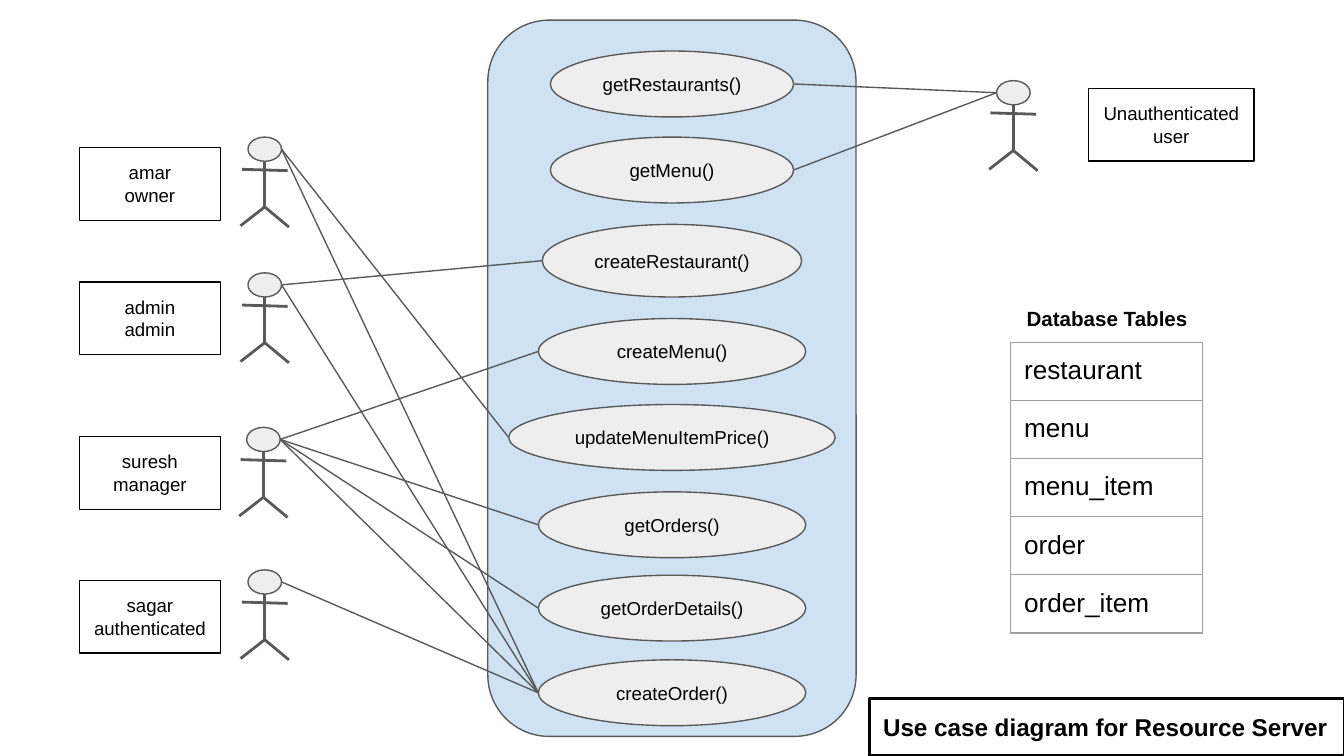
from dataclasses import dataclass

from lxml.etree import SubElement
from pptx import Presentation
from pptx.dml.color import RGBColor
from pptx.enum.shapes import MSO_CONNECTOR, MSO_SHAPE
from pptx.enum.text import MSO_ANCHOR, MSO_AUTO_SIZE, PP_ALIGN
from pptx.oxml.ns import qn
from pptx.util import Inches, Pt

COLORS = {
    "system": "CFE2F3",
    "oval": "EEEEEE",
    "outline": "595959",
    "text": "000000",
    "grid": "9E9E9E",
}
MARGINS = {f"margin_{side}": Inches(0.1) for side in ("left", "right", "top", "bottom")}
FRAME_FORMAT = MARGINS | {"word_wrap": True, "auto_size": MSO_AUTO_SIZE.NONE}
SYSTEM_CENTER = 5.0
HEAD_WIDTH, HEAD_HEIGHT = 0.25, 0.18
LABEL_HEIGHT = 0.54


@dataclass(frozen=True)
class UseCase:
    name: str
    top: float
    width: float = 1.99
    height: float = 0.49

    @property
    def left(self) -> float:
        return SYSTEM_CENTER - self.width / 2

    @property
    def middle(self) -> float:
        return self.top + self.height / 2


@dataclass(frozen=True)
class Actor:
    label: str
    center: float
    top: float
    label_left: float
    label_top: float
    label_width: float
    use_cases: tuple[str, ...]


USE_CASES = [
    UseCase("getRestaurants()", 0.38, 1.81),
    UseCase("getMenu()", 1.02, 1.81),
    UseCase("createRestaurant()", 1.67, 1.93, 0.54),
    UseCase("createMenu()", 2.37),
    UseCase("updateMenuItemPrice()", 3.01, 2.43),
    UseCase("getOrders()", 3.66),
    UseCase("getOrderDetails()", 4.28),
    UseCase("createOrder()", 4.91),
]
ACTORS = [
    Actor("amar\nowner", 1.97, 1.02, 0.59, 1.1, 1.05,
          ("updateMenuItemPrice()", "createOrder()")),
    Actor("admin\nadmin", 1.97, 2.03, 0.59, 2.1, 1.05,
          ("createRestaurant()", "createOrder()")),
    Actor("suresh\nmanager", 1.96, 3.18, 0.59, 3.25, 1.05,
          ("createMenu()", "getOrders()", "getOrderDetails()", "createOrder()")),
    Actor("sagar\nauthenticated", 1.97, 4.24, 0.59, 4.32, 1.05, ("createOrder()",)),
    Actor("Unauthenticated user", 7.54, 0.6, 8.1, 0.66, 1.23,
          ("getRestaurants()", "getMenu()")),
]
TABLE_NAMES = ["restaurant", "menu", "menu_item", "order", "order_item"]


def color(name: str) -> RGBColor:
    return RGBColor.from_string(COLORS[name])


def apply_format(target, values: dict) -> None:
    for name, value in values.items():
        setattr(target, name, value)


def write_text(frame, text: str, size: float, bold: bool = False,
               align=PP_ALIGN.CENTER) -> None:
    frame.text = text
    for paragraph in frame.paragraphs:
        paragraph.alignment = align
        for run in paragraph.runs:
            apply_format(run.font, {"name": "Arial", "size": Pt(size), "bold": bold})
            run.font.color.rgb = color("text")


def fill_shape(shape, text: str, size: float, bold: bool = False,
               align=PP_ALIGN.CENTER, anchor=MSO_ANCHOR.TOP) -> None:
    apply_format(shape.text_frame, FRAME_FORMAT | {"vertical_anchor": anchor})
    write_text(shape.text_frame, text, size, bold, align)


def add_box(slide, kind, left: float, top: float, width: float, height: float,
            fill: str | None = None, line: str = "outline"):
    shape = slide.shapes.add_shape(
        kind, Inches(left), Inches(top), Inches(width), Inches(height))
    shape.shadow.inherit = False
    if fill:
        shape.fill.solid()
        shape.fill.fore_color.rgb = color(fill)
    else:
        shape.fill.background()
    shape.line.color.rgb = color(line)
    shape.line.width = Pt(0.75)
    return shape


def add_line(slide, start: tuple[float, float], end: tuple[float, float],
             width: float = 0.75) -> None:
    connector = slide.shapes.add_connector(
        MSO_CONNECTOR.STRAIGHT, *map(Inches, start + end))
    connector.line.color.rgb = color("outline")
    connector.line.width = Pt(width)
    SubElement(connector._element.spPr, qn("a:effectLst"))


def add_use_case(slide, use_case: UseCase) -> None:
    oval = add_box(slide, MSO_SHAPE.OVAL, use_case.left, use_case.top,
                   use_case.width, use_case.height, "oval")
    fill_shape(oval, use_case.name, 10, anchor=MSO_ANCHOR.MIDDLE)


def add_actor(slide, actor: Actor) -> None:
    """Draw the stick figure and its name box."""
    x, y = actor.center, actor.top
    hip = (x, y + 0.52)
    limbs = [
        ((x, y + HEAD_HEIGHT), hip),
        ((x - 0.17, y + 0.24), (x + 0.17, y + 0.25)),
        (hip, (x - 0.18, y + 0.66)),
        (hip, (x + 0.18, y + 0.67)),
    ]
    for start, end in limbs:
        add_line(slide, start, end, 1.5)
    add_box(slide, MSO_SHAPE.FLOWCHART_CONNECTOR, x - HEAD_WIDTH / 2, y,
            HEAD_WIDTH, HEAD_HEIGHT, "oval")
    label = add_box(slide, MSO_SHAPE.RECTANGLE, actor.label_left, actor.label_top,
                    actor.label_width, LABEL_HEIGHT, line="text")
    fill_shape(label, actor.label, 10)


def link_actor(slide, actor: Actor, use_cases: dict[str, UseCase]) -> None:
    """Join the head to the facing side of each use case."""
    side = 1 if actor.center < SYSTEM_CENTER else -1
    head = (actor.center + side * HEAD_WIDTH / 2, actor.top + HEAD_HEIGHT / 2)
    for name in actor.use_cases:
        use_case = use_cases[name]
        edge = SYSTEM_CENTER - side * use_case.width / 2
        add_line(slide, head, (edge, use_case.middle))


def set_borders(cell) -> None:
    properties = cell._tc.get_or_add_tcPr()
    for index, side in enumerate(("lnL", "lnR", "lnT", "lnB")):
        border = properties.makeelement(qn(f"a:{side}"), {"w": str(Pt(0.75))})
        fill = SubElement(border, qn("a:solidFill"))
        SubElement(fill, qn("a:srgbClr"), val=COLORS["grid"])
        properties.insert(index, border)


def add_database_tables(slide) -> None:
    table = slide.shapes.add_table(
        len(TABLE_NAMES), 1, Inches(7.52), Inches(2.55),
        Inches(1.43), Inches(2.16)).table
    apply_format(table, {"first_row": False, "horz_banding": False})
    for row, name in enumerate(TABLE_NAMES):
        cell = table.cell(row, 0)
        apply_format(cell, MARGINS)
        write_text(cell.text_frame, name, 14, align=PP_ALIGN.LEFT)
        cell.fill.background()
        set_borders(cell)
    heading = slide.shapes.add_textbox(
        Inches(7.54), Inches(2.18), Inches(1.4), Inches(0.39))
    fill_shape(heading, "Database Tables", 11, True, PP_ALIGN.LEFT)


def add_title(slide) -> None:
    title = slide.shapes.title
    place = {"left": 6.47, "top": 5.2, "width": 3.53, "height": 0.42}
    apply_format(title, {name: Inches(value) for name, value in place.items()})
    title.line.color.rgb = color("text")
    title.line.width = Pt(1.5)
    fill_shape(title, "Use case diagram for Resource Server", 13, True, PP_ALIGN.LEFT)


def main() -> None:
    presentation = Presentation()
    presentation.slide_width = Inches(10)
    presentation.slide_height = presentation.slide_width * 9 // 16
    slide = presentation.slides.add_slide(presentation.slide_layouts[5])
    add_title(slide)
    add_box(slide, MSO_SHAPE.ROUNDED_RECTANGLE, 3.63, 0.15, 2.74, 5.33, "system")
    for use_case in USE_CASES:
        add_use_case(slide, use_case)
    use_cases = {use_case.name: use_case for use_case in USE_CASES}
    for actor in ACTORS:
        add_actor(slide, actor)
        link_actor(slide, actor, use_cases)
    add_database_tables(slide)
    presentation.save("out.pptx")


if __name__ == "__main__":
    main()
